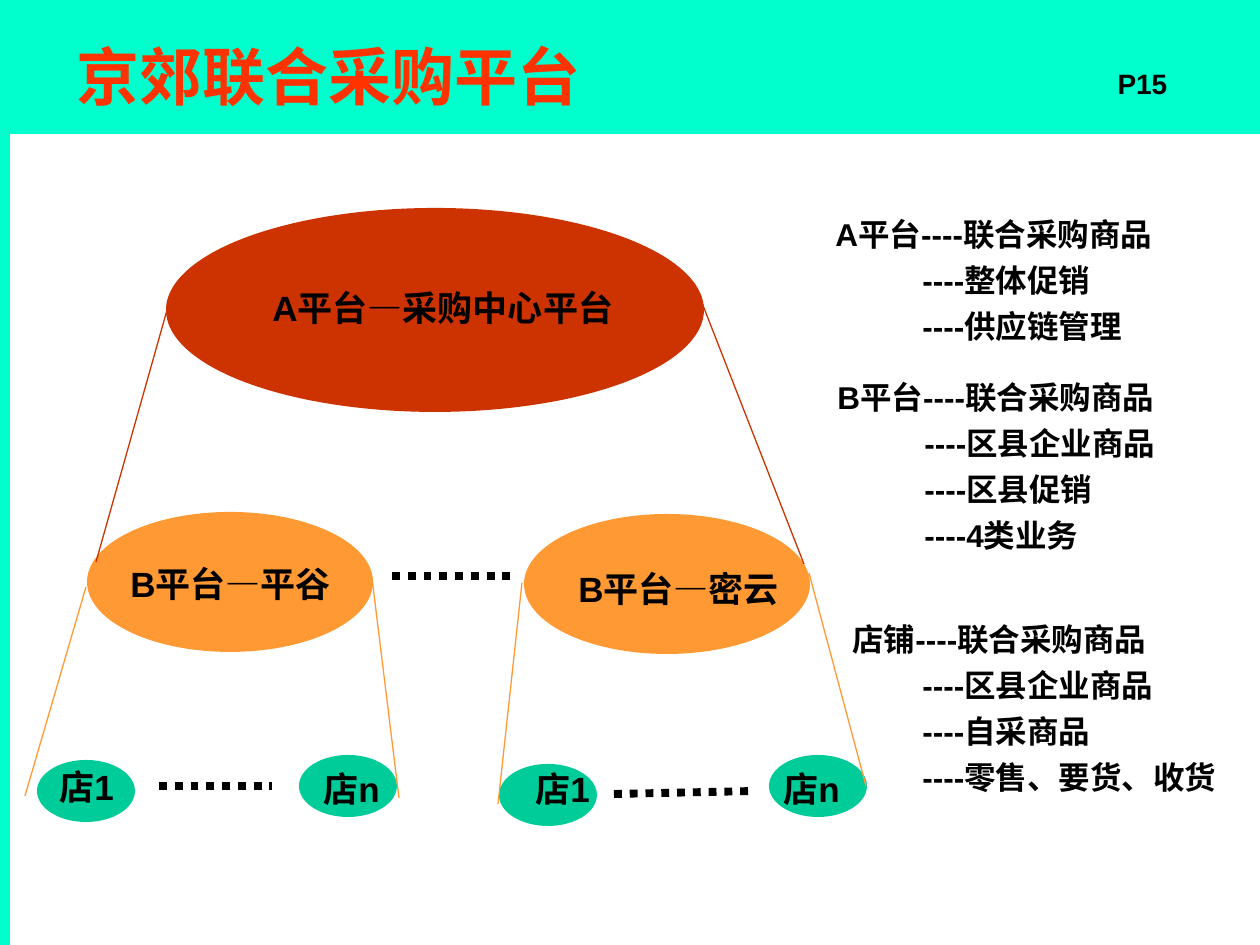
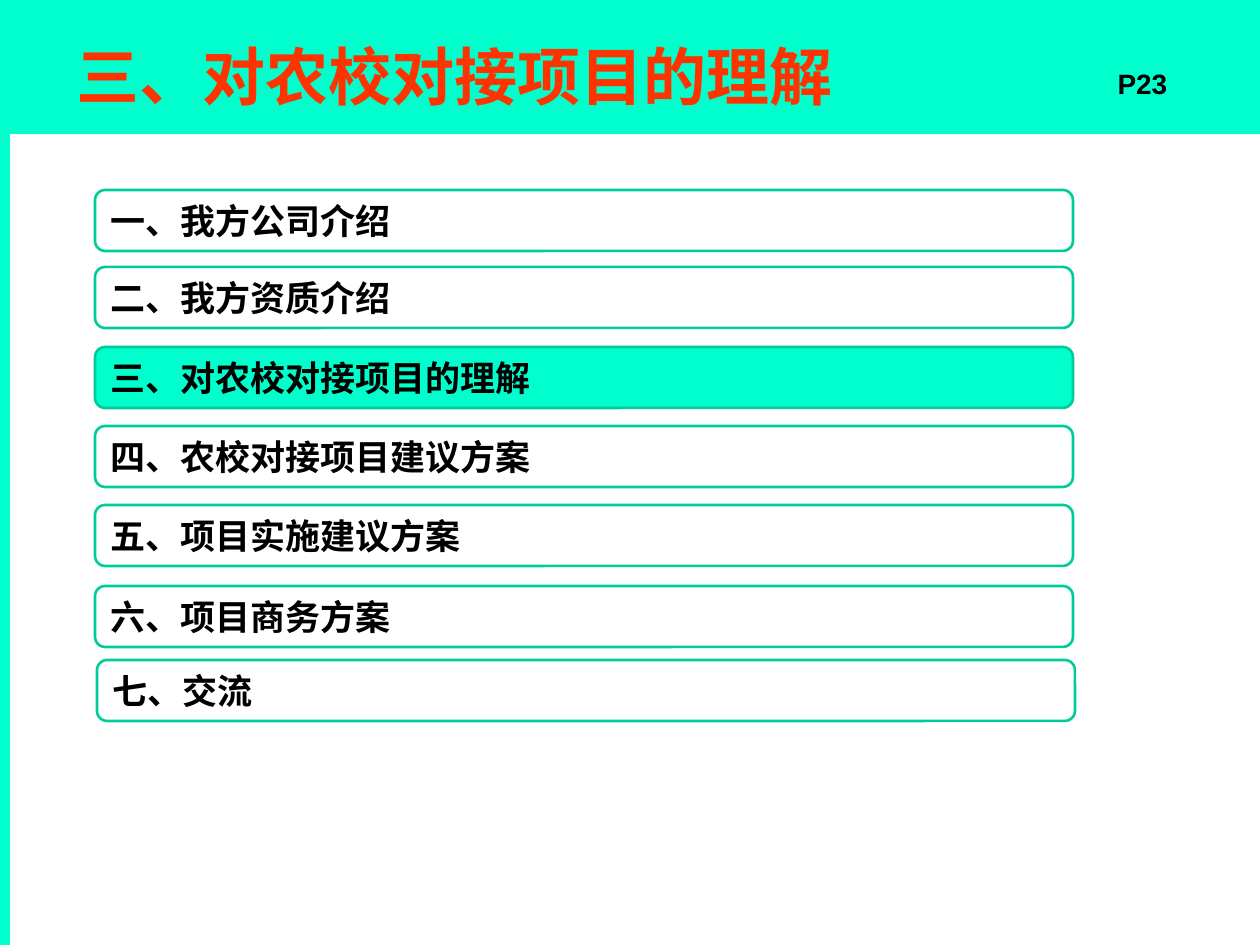
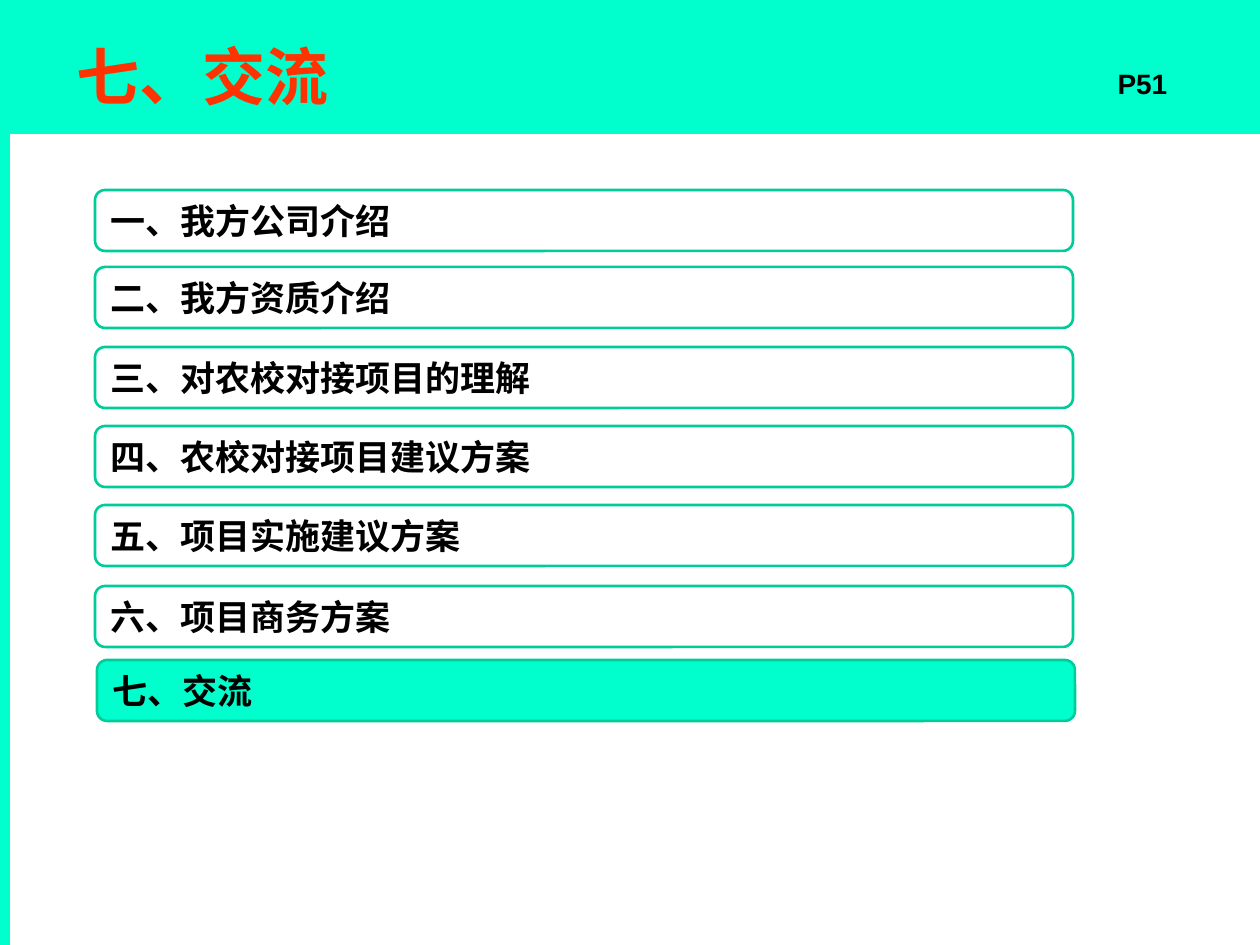
"""Build three slides on a joint purchasing platform."""
from dataclasses import dataclass
from typing import NamedTuple

from lxml import etree
from pptx import Presentation
from pptx import util as u
from pptx.dml.color import RGBColor
from pptx.enum import dml, shapes, text
from pptx.oxml.ns import qn

SCALE = 914400 / 126


@dataclass(frozen=True)
class Theme:
    """Hold colours, fonts and type sizes."""
    mint: str = "00FFCC"
    green: str = "00CC99"
    orange: str = "FF9933"
    brick: str = "CC3300"
    red: str = "FF3300"
    black: str = "000000"
    latin: str = "Arial"
    han: str = "Noto Sans CJK SC"
    title: int = 36
    label: int = 20
    note: int = 18
    page: int = 16


class Box(NamedTuple):
    """Give a frame in px."""
    x: int
    y: int
    w: int
    h: int


class Node(NamedTuple):
    """Pair an ellipse with its label."""
    oval: Box
    fill: str
    label: Box
    words: str


class Link(NamedTuple):
    """Describe a straight line in px."""
    x1: int
    y1: int
    x2: int
    y2: int
    color: str
    dots: bool = False


class Note(NamedTuple):
    """Describe a block of lines with a hanging list."""
    box: Box
    indent: int
    lines: tuple[str, ...]


T = Theme()
HEAD = Box(10, 0, 1250, 134)
SIDE = Box(0, 0, 10, 945)
TITLE = Box(64, 19, 1006, 112)
PAGE = Box(1092, 60, 101, 47)

NODES = (
    Node(Box(166, 208, 538, 204), T.brick, Box(260, 280, 392, 55), "A平台—采购中心平台"),
    Node(Box(87, 512, 286, 140), T.orange, Box(118, 556, 261, 55), "B平台—平谷"),
    Node(Box(524, 514, 286, 140), T.orange, Box(566, 561, 261, 55), "B平台—密云"),
    Node(Box(37, 760, 98, 62), T.green, Box(47, 759, 113, 55), "店1"),
    Node(Box(299, 755, 98, 62), T.green, Box(311, 761, 113, 55), "店n"),
    Node(Box(499, 764, 98, 62), T.green, Box(523, 761, 113, 55), "店1"),
    Node(Box(769, 755, 98, 62), T.green, Box(771, 761, 113, 55), "店n"),
)
LINKS = (
    Link(392, 576, 515, 576, T.black, True),
    Link(159, 786, 272, 786, T.black, True),
    Link(614, 794, 755, 791, T.black, True),
    Link(86, 587, 25, 796, T.orange),
    Link(372, 578, 399, 798, T.orange),
    Link(522, 583, 498, 804, T.orange),
    Link(809, 573, 866, 786, T.orange),
    Link(171, 296, 96, 562, T.brick),
    Link(697, 290, 804, 564, T.brick),
)
NOTES = (
    Note(Box(823, 219, 421, 131), 87,
         ("A平台----联合采购商品", "----整体促销", "----供应链管理")),
    Note(Box(825, 382, 421, 178), 87,
         ("B平台----联合采购商品", "----区县企业商品", "----区县促销", "----4类业务")),
    Note(Box(840, 624, 420, 178), 70,
         ("店铺----联合采购商品", "----区县企业商品", "----自采商品", "----零售、要货、收货")),
)
BARS = (
    (Box(95, 190, 978, 61), "一、我方公司介绍"),
    (Box(95, 267, 978, 61), "二、我方资质介绍"),
    (Box(95, 347, 978, 61), "三、对农校对接项目的理解"),
    (Box(95, 426, 978, 61), "四、农校对接项目建议方案"),
    (Box(95, 505, 978, 61), "五、项目实施建议方案"),
    (Box(95, 586, 978, 61), "六、项目商务方案"),
    (Box(97, 660, 978, 61), "七、交流"),
)


def px(n: int) -> u.Emu:
    """Turn px into EMU."""
    return u.Emu(round(n * SCALE))


def rgb(color: str) -> RGBColor:
    """Parse a hex colour."""
    return RGBColor.from_string(color)


def write(para, words: str, size: int, color: str = T.black, face: str = T.latin) -> None:
    """Add one bold run to a paragraph."""
    run = para.add_run()
    run.text = words
    font = run.font
    font.size, font.bold, font.name = u.Pt(size), True, face
    font.color.rgb = rgb(color)
    etree.SubElement(font._element, qn("a:ea")).set("typeface", T.han)


def shape(slide, kind, box: Box, fill: str | None, line: str | None = None):
    """Add a preset shape."""
    item = slide.shapes.add_shape(kind, *map(px, box))
    item.shadow.inherit = False
    if fill:
        item.fill.solid()
        item.fill.fore_color.rgb = rgb(fill)
    else:
        item.fill.background()
    if line:
        item.line.color.rgb = rgb(line)
        item.line.width = u.Pt(1.5)
    else:
        item.line.fill.background()
    return item


def area(slide, box: Box):
    """Add a wrapping text box and return its frame."""
    frame = slide.shapes.add_textbox(*map(px, box)).text_frame
    frame.word_wrap = True
    return frame


def label(slide, box: Box, words: str) -> None:
    """Add a one-line label."""
    write(area(slide, box).paragraphs[0], words, T.label)


def link(slide, item: Link) -> None:
    """Add a thin or dotted line."""
    ends = map(px, (item.x1, item.y1, item.x2, item.y2))
    line = slide.shapes.add_connector(shapes.MSO_CONNECTOR.STRAIGHT, *ends)
    line.line.color.rgb = rgb(item.color)
    line.line.width = u.Pt(4.5 if item.dots else 0.75)
    if item.dots:
        line.line.dash_style = dml.MSO_LINE.ROUND_DOT
    etree.SubElement(line._element.spPr, qn("a:effectLst"))


def note(slide, item: Note) -> None:
    """Add a heading line and its indented lines."""
    frame = area(slide, item.box)
    for i, words in enumerate(item.lines):
        para = frame.add_paragraph() if i else frame.paragraphs[0]
        para.line_spacing = 0.7
        if i:
            para.space_before = u.Pt(11.2)
            para._p.get_or_add_pPr().set("marL", str(px(item.indent)))
        write(para, words, T.note)


def dress(slide, layout) -> None:
    """Move the two bands from a slide to its layout."""
    for box in (SIDE, HEAD):
        band = shape(slide, shapes.MSO_SHAPE.RECTANGLE, box, T.mint)
        layout.shapes.element.insert(2, band.element)


def start(deck, words: str, page: str, face: str = T.latin):
    """Add a slide with its title and page mark."""
    slide = deck.slides.add_slide(deck.slide_layouts[5])
    title = slide.shapes.title
    title.left, title.top, title.width, title.height = map(px, TITLE)
    frame = title.text_frame
    frame.auto_size = text.MSO_AUTO_SIZE.NONE
    frame.vertical_anchor = text.MSO_ANCHOR.MIDDLE
    para = frame.paragraphs[0]
    para.alignment = text.PP_ALIGN.LEFT
    write(para, words, T.title, T.red, face)
    mark = area(slide, PAGE).paragraphs[0]
    mark.alignment = text.PP_ALIGN.CENTER
    write(mark, page, T.page)
    return slide


def tree(slide) -> None:
    """Draw the platform levels and their notes."""
    for node in NODES:
        shape(slide, shapes.MSO_SHAPE.OVAL, node.oval, node.fill)
        label(slide, node.label, node.words)
    for item in LINKS:
        link(slide, item)
    for item in NOTES:
        note(slide, item)


def menu(slide, live: int) -> None:
    """Draw the agenda bars with one lit."""
    for i, (box, words) in enumerate(BARS):
        fill = T.mint if i == live else None
        bar = shape(slide, shapes.MSO_SHAPE.ROUNDED_RECTANGLE, box, fill, T.green)
        frame = bar.text_frame
        frame.word_wrap = True
        frame.vertical_anchor = text.MSO_ANCHOR.MIDDLE
        para = frame.paragraphs[0]
        para.alignment = text.PP_ALIGN.LEFT
        write(para, words, T.label, face=T.han)


def main() -> None:
    """Build and save the deck."""
    deck = Presentation()
    deck.slide_width, deck.slide_height = px(1260), px(945)
    first = start(deck, "京郊联合采购平台", "P15", T.han)
    dress(first, deck.slide_layouts[5])
    tree(first)
    for live, page in ((2, "P23"), (6, "P51")):
        menu(start(deck, BARS[live][1], page), live)
    deck.save("out.pptx")


if __name__ == "__main__":
    main()
